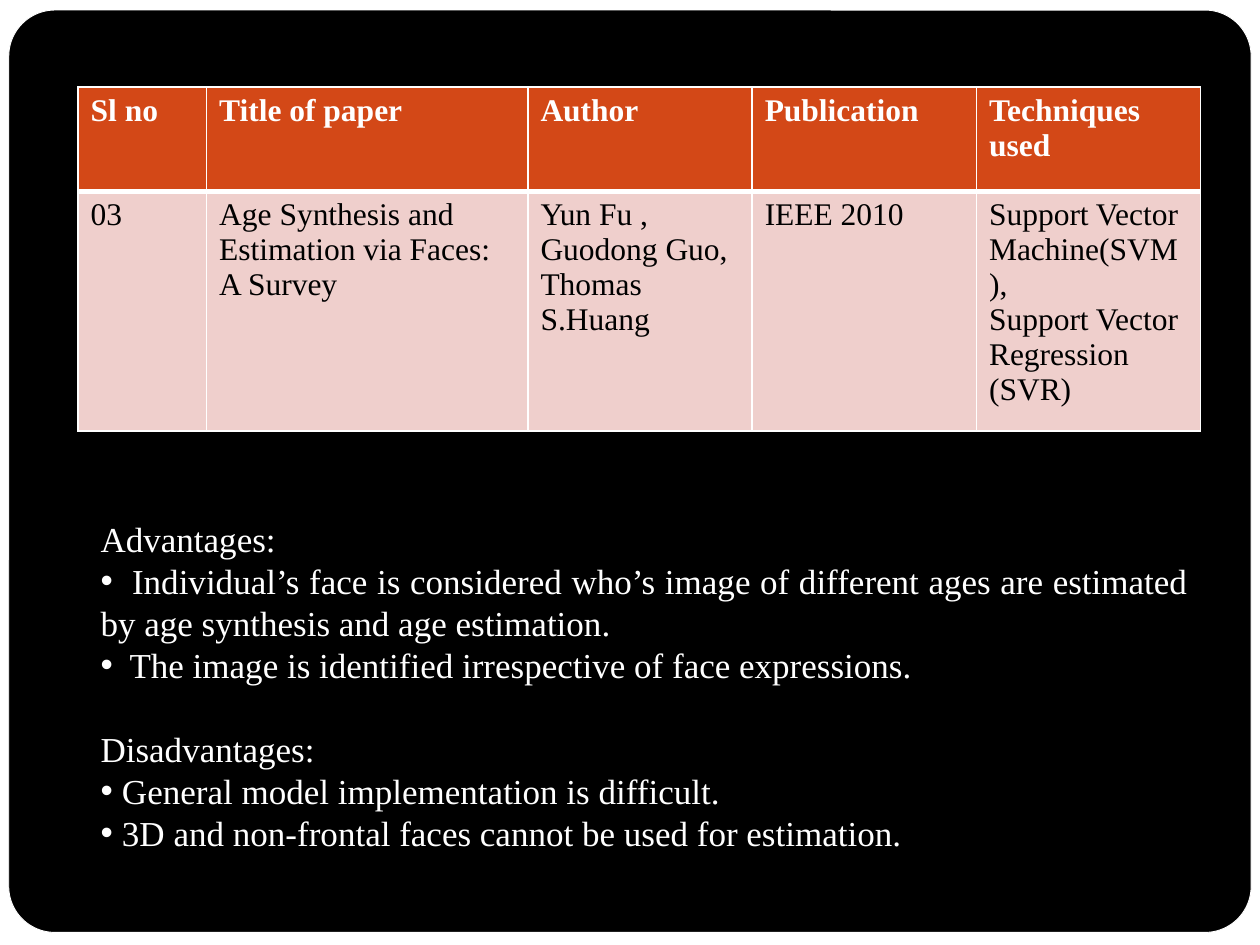
from dataclasses import dataclass

from lxml import etree
from pptx import Presentation
from pptx.dml.color import RGBColor
from pptx.enum.shapes import MSO_SHAPE
from pptx.enum.text import MSO_AUTO_SIZE, PP_ALIGN
from pptx.oxml.ns import qn
from pptx.util import Inches, Pt

RECTANGLE = MSO_SHAPE.RECTANGLE
ROUNDED_RECTANGLE = MSO_SHAPE.ROUNDED_RECTANGLE
JUSTIFY = PP_ALIGN.JUSTIFY
GROW_TO_FIT = MSO_AUTO_SIZE.SHAPE_TO_FIT_TEXT

FONT = "Times New Roman"
COLORS = {
    "black": "000000",
    "white": "FFFFFF",
    "header": "D34817",
    "body": "EFCFCC",
}


@dataclass(frozen=True)
class TableRow:
    height: float
    fill: str
    text_color: str
    bold: bool
    borders: dict[str, float]
    texts: list[str]


@dataclass(frozen=True)
class Line:
    text: str
    bullet_gap: float = 0
    space_before: float = 0


COLUMN_WIDTHS = [1.02, 2.55, 1.78, 1.78, 1.78]
TABLE_ROWS = [
    TableRow(
        0.83, "header", "white", True, {"L": 1, "R": 1, "T": 1, "B": 3},
        ["Sl no", "Title of paper", "Author", "Publication", "Techniques used"],
    ),
    TableRow(
        1.9, "body", "black", False, {"L": 1, "R": 1, "T": 3, "B": 1},
        [
            "03",
            "Age Synthesis and Estimation via Faces:\nA Survey",
            "Yun Fu ,\nGuodong Guo,\nThomas S.Huang",
            "IEEE 2010",
            "Support Vector Machine(SVM),\nSupport Vector Regression\n(SVR)",
        ],
    ),
]
LINES = [
    Line("Advantages:"),
    Line(
        "Individual’s face is considered who’s image of different ages "
        "are estimated by age synthesis and age estimation.",
        bullet_gap=0.25,
    ),
    Line("The image is identified irrespective of face expressions.", bullet_gap=0.23),
    Line("Disadvantages:", space_before=24),
    Line("General model implementation is difficult.", bullet_gap=0.17),
    Line("3D and non-frontal faces cannot be used for estimation.", bullet_gap=0.17),
]


def color(name: str) -> RGBColor:
    return RGBColor.from_string(COLORS[name])


def format_runs(paragraph, size: float, color_name: str, bold: bool = False) -> None:
    for run in paragraph.runs:
        run.font.name = FONT
        run.font.size = Pt(size)
        run.font.bold = bold
        run.font.color.rgb = color(color_name)


def add_panel(slide, kind, left: float, top: float, width: float, height: float, fill: str):
    shape = slide.shapes.add_shape(
        kind, Inches(left), Inches(top), Inches(width), Inches(height)
    )
    shape.shadow.inherit = False
    shape.fill.solid()
    shape.fill.fore_color.rgb = color(fill)
    shape.line.color.rgb = color("white")
    shape.line.width = Pt(0.5)
    return shape


def set_borders(cell, borders: dict[str, float]) -> None:
    properties = cell._tc.get_or_add_tcPr()
    for side, width in borders.items():
        border = etree.SubElement(properties, qn(f"a:ln{side}"), w=str(Pt(width)))
        fill = etree.SubElement(border, qn("a:solidFill"))
        etree.SubElement(fill, qn("a:srgbClr"), val=COLORS["white"])


def add_paper_table(slide) -> None:
    table = slide.shapes.add_table(
        len(TABLE_ROWS), len(COLUMN_WIDTHS), Inches(0.62), Inches(0.69),
        Inches(sum(COLUMN_WIDTHS)), Inches(sum(row.height for row in TABLE_ROWS)),
    ).table
    for column, width in zip(table.columns, COLUMN_WIDTHS):
        column.width = Inches(width)
    for table_row, row in zip(table.rows, TABLE_ROWS):
        table_row.height = Inches(row.height)
        for cell, text in zip(table_row.cells, row.texts):
            set_borders(cell, row.borders)
            cell.fill.solid()
            cell.fill.fore_color.rgb = color(row.fill)
            cell.text_frame.text = text
            for paragraph in cell.text_frame.paragraphs:
                format_runs(paragraph, 18, row.text_color, row.bold)


def add_bullet(paragraph, gap: float) -> None:
    properties = paragraph._p.get_or_add_pPr()
    properties.set("marL", "0")
    properties.set("indent", "0")
    etree.SubElement(properties, qn("a:buFont"), typeface="Arial")
    etree.SubElement(properties, qn("a:buChar"), char="•")
    tabs = etree.SubElement(properties, qn("a:tabLst"))
    etree.SubElement(tabs, qn("a:tab"), pos=str(Inches(gap)), algn="l")


def add_assessment(slide) -> None:
    text_box = slide.shapes.add_textbox(
        Inches(0.7), Inches(4.06), Inches(8.83), Inches(2.79)
    )
    text_frame = text_box.text_frame
    text_frame.word_wrap = True
    text_frame.auto_size = GROW_TO_FIT
    for index, line in enumerate(LINES):
        paragraph = text_frame.add_paragraph() if index else text_frame.paragraphs[0]
        if line.bullet_gap:
            add_bullet(paragraph, line.bullet_gap)
            paragraph.text = f"\t{line.text}"
        else:
            paragraph.text = line.text
        paragraph.alignment = JUSTIFY
        if line.space_before:
            paragraph.space_before = Pt(line.space_before)
        format_runs(paragraph, 20, "white")


def main() -> None:
    presentation = Presentation()
    presentation.slide_width = Inches(10)
    presentation.slide_height = Inches(7.5)
    slide = presentation.slides.add_slide(presentation.slide_layouts[6])
    slide.background.fill.solid()
    slide.background.fill.fore_color.rgb = color("black")
    add_panel(slide, RECTANGLE, 0, 0, 10, 7.5, "white")
    panel = add_panel(slide, ROUNDED_RECTANGLE, 0.07, 0.08, 9.86, 7.32, "black")
    panel.adjustments[0] = 0.05
    add_paper_table(slide)
    add_assessment(slide)
    presentation.save("out.pptx")


if __name__ == "__main__":
    main()
